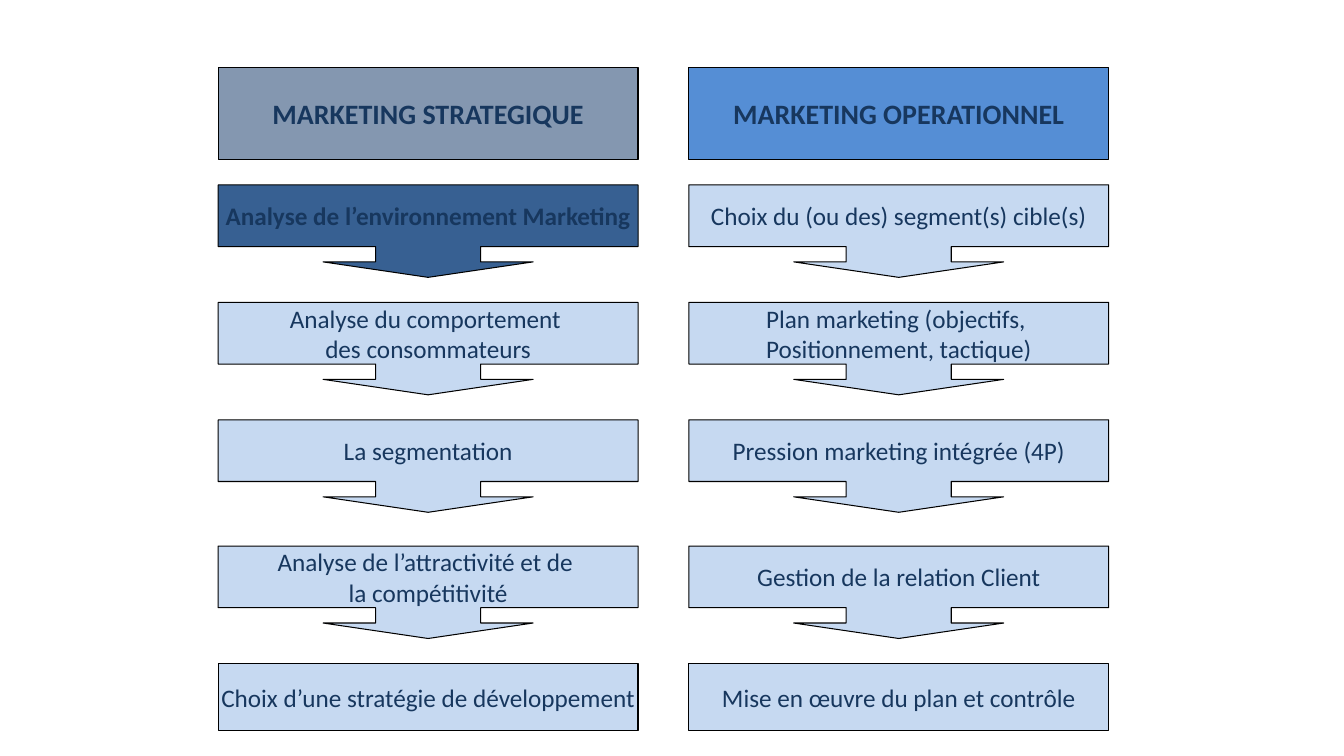
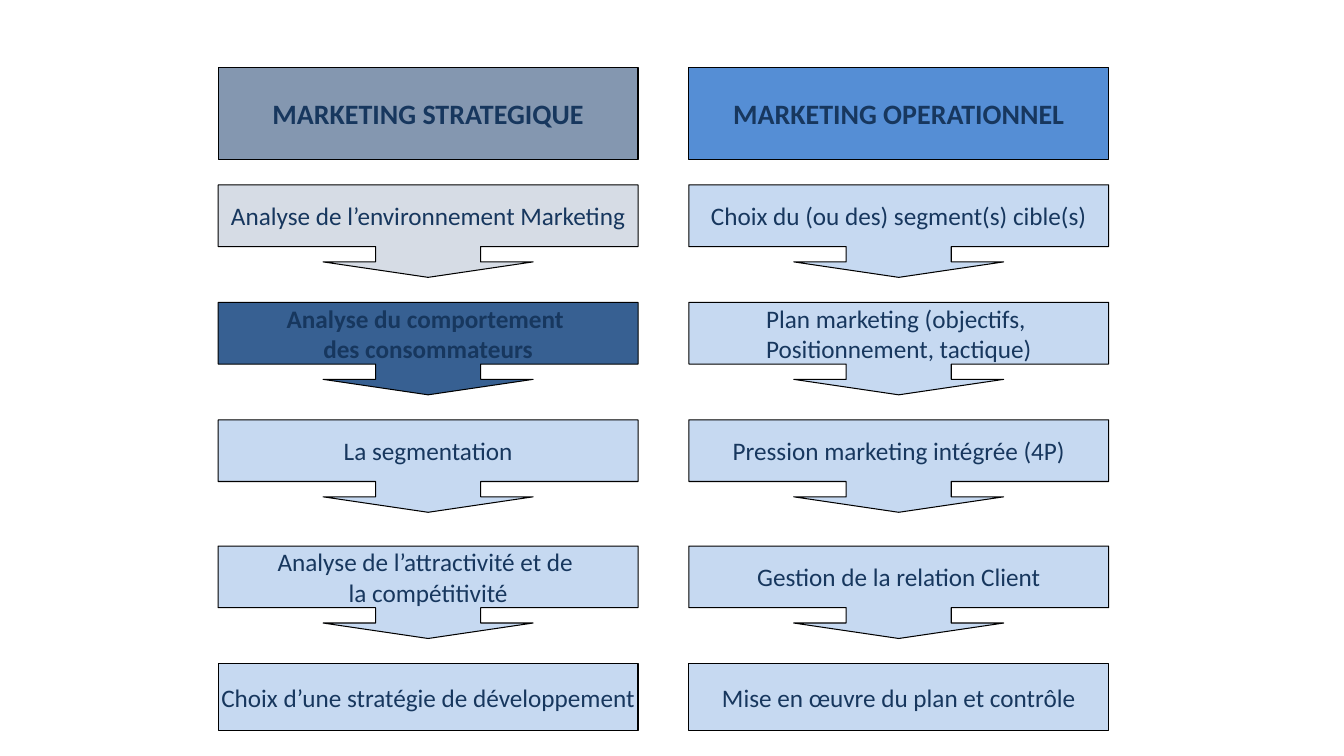
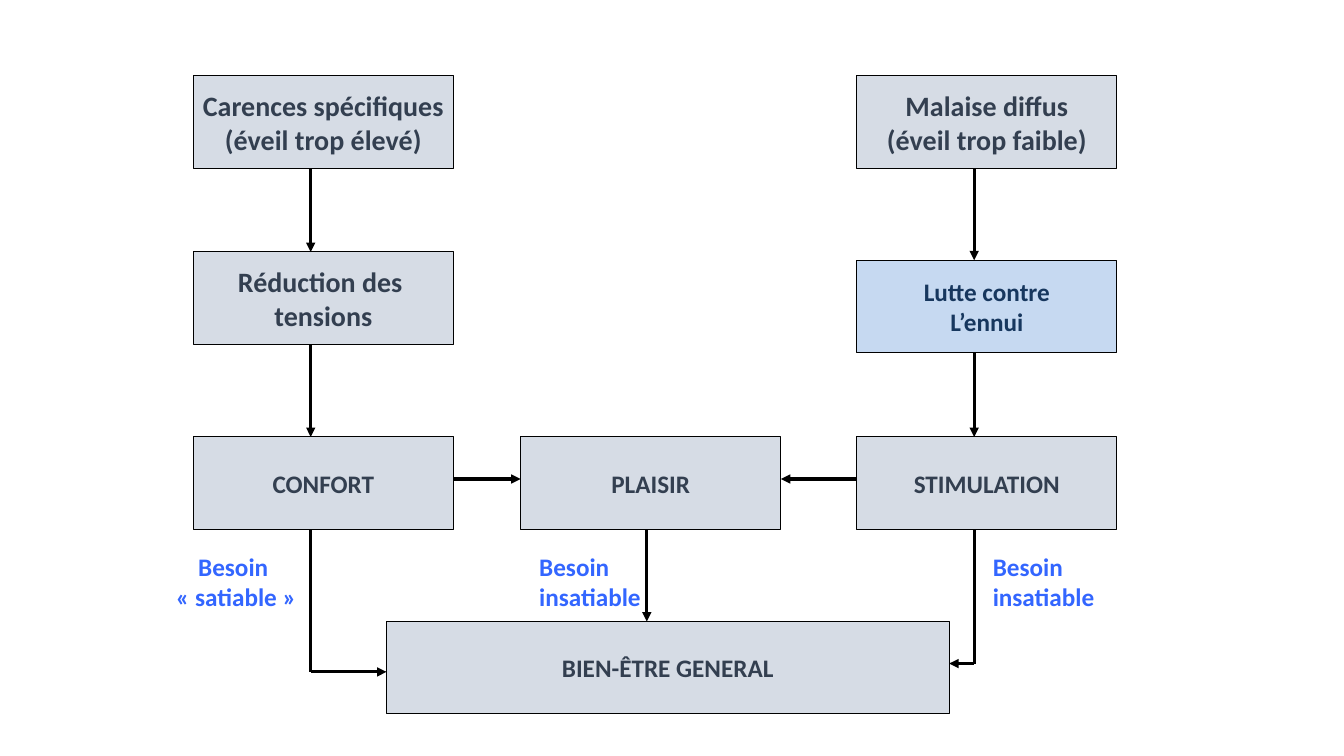
from dataclasses import dataclass

from lxml import etree
from pptx import Presentation
from pptx.dml.color import RGBColor
from pptx.enum.shapes import MSO_CONNECTOR, MSO_SHAPE
from pptx.enum.text import MSO_ANCHOR, MSO_AUTO_SIZE, PP_ALIGN
from pptx.oxml.ns import qn
from pptx.slide import Slide
from pptx.text.text import TextFrame
from pptx.util import Cm, Pt

RECTANGLE = MSO_SHAPE.RECTANGLE
CALLOUT = MSO_SHAPE.DOWN_ARROW_CALLOUT
STRAIGHT = MSO_CONNECTOR.STRAIGHT
MIDDLE = MSO_ANCHOR.MIDDLE
GROW = MSO_AUTO_SIZE.SHAPE_TO_FIT_TEXT
LEFT = PP_ALIGN.LEFT
CENTER = PP_ALIGN.CENTER

BLACK = RGBColor(0x00, 0x00, 0x00)
NAVY = RGBColor(0x17, 0x37, 0x5E)
SLATE = RGBColor(0x33, 0x3F, 0x50)
STEEL = RGBColor(0x84, 0x97, 0xB0)
BLUE = RGBColor(0x55, 0x8E, 0xD5)
DARK_BLUE = RGBColor(0x37, 0x60, 0x92)
PALE_BLUE = RGBColor(0xC6, 0xD9, 0xF1)
PALE_GREY = RGBColor(0xD6, 0xDC, 0xE5)
LABEL_BLUE = RGBColor(0x33, 0x66, 0xFF)

FONT = "Calibri"
BOX_HEIGHT = 2.33
CALLOUT_ADJUSTMENTS = (1.136, 1.136, 0.167, 0.667)

COLUMN_WIDTH = 10.58
HEADER_TOP = 1.69
STEP_TOPS = (4.66, 7.62, 10.58, 13.76, 16.72)
LAST_STEP_HEIGHT = 1.69

NEED_WIDTH = 6.56
NEED_LEFTS = (4.87, 13.12, 21.59)
NEED_TOP = 1.91
STATE_TOP = 11.01
LABEL_TOP = 13.76
LABEL_HEIGHT = 1.78


@dataclass(frozen=True)
class TextStyle:
    size: int
    color: RGBColor
    bold: bool = True


HEADER_TEXT = TextStyle(20, NAVY)
STEP_TEXT = TextStyle(18, NAVY, False)
ACTIVE_TEXT = TextStyle(18, NAVY)
CAUSE_TEXT = TextStyle(20, SLATE)
STATE_TEXT = TextStyle(18, SLATE)
LABEL_TEXT = TextStyle(18, LABEL_BLUE)


@dataclass(frozen=True)
class Box:
    text: str
    left: float
    top: float
    width: float
    style: TextStyle
    fill: RGBColor = PALE_GREY
    height: float = BOX_HEIGHT
    kind: MSO_SHAPE = RECTANGLE

    @property
    def right(self) -> float:
        return self.left + self.width

    @property
    def bottom(self) -> float:
        return self.top + self.height


@dataclass(frozen=True)
class Label:
    text: str
    left: float
    width: float
    align: PP_ALIGN = LEFT


@dataclass(frozen=True)
class Link:
    start: tuple[float, float]
    end: tuple[float, float]
    arrow: bool = True


@dataclass(frozen=True)
class Column:
    left: float
    title: str
    fill: RGBColor
    steps: tuple[str, ...]


COLUMNS = (
    Column(5.5, "MARKETING STRATEGIQUE", STEEL, (
        "Analyse de l’environnement Marketing",
        "Analyse du comportement \ndes consommateurs",
        "La segmentation",
        "Analyse de l’attractivité et de \nla compétitivité",
        "Choix d’une stratégie de développement",
    )),
    Column(17.36, "MARKETING OPERATIONNEL", BLUE, (
        "Choix du (ou des) segment(s) cible(s)",
        "Plan marketing (objectifs, \nPositionnement, tactique)",
        "Pression marketing intégrée (4P)",
        "Gestion de la relation Client",
        "Mise en œuvre du plan et contrôle",
    )),
)


def write_text(frame: TextFrame, text: str, style: TextStyle, align: PP_ALIGN) -> None:
    frame.word_wrap = False
    for index, line in enumerate(text.split("\n")):
        para = frame.add_paragraph() if index else frame.paragraphs[0]
        para.text = line
        para.alignment = align
        font = para.font
        font.name = FONT
        font.size = Pt(style.size)
        font.bold = style.bold
        font.color.rgb = style.color


def draw_box(page: Slide, box: Box) -> None:
    shape = page.shapes.add_shape(
        box.kind, Cm(box.left), Cm(box.top), Cm(box.width), Cm(box.height))
    if box.kind == CALLOUT:
        for index, value in enumerate(CALLOUT_ADJUSTMENTS):
            shape.adjustments[index] = value
    shape.shadow.inherit = False
    shape.fill.solid()
    shape.fill.fore_color.rgb = box.fill
    shape.line.color.rgb = BLACK
    shape.line.width = Pt(0.75)
    shape.text_frame.vertical_anchor = MIDDLE
    write_text(shape.text_frame, box.text, box.style, CENTER)


def draw_label(page: Slide, label: Label) -> None:
    shape = page.shapes.add_textbox(
        Cm(label.left), Cm(LABEL_TOP), Cm(label.width), Cm(LABEL_HEIGHT))
    write_text(shape.text_frame, label.text, LABEL_TEXT, label.align)
    shape.text_frame.auto_size = GROW


def draw_link(page: Slide, link: Link) -> None:
    ends = (Cm(value) for value in link.start + link.end)
    connector = page.shapes.add_connector(STRAIGHT, *ends)
    connector.line.color.rgb = BLACK
    connector.line.width = Pt(2.25)
    if link.arrow:
        etree.SubElement(connector.line._get_or_add_ln(), qn("a:tailEnd"), type="triangle")
    etree.SubElement(connector._element.spPr, qn("a:effectLst"))


def draw_process(page: Slide, active: int) -> None:
    for column in COLUMNS:
        draw_box(page, Box(column.title, column.left, HEADER_TOP, COLUMN_WIDTH,
                           HEADER_TEXT, column.fill))
        last = len(column.steps) - 1
        for index, (text, top) in enumerate(zip(column.steps, STEP_TOPS)):
            fill, style = PALE_BLUE, STEP_TEXT
            if column is COLUMNS[0] and index == active:
                fill, style = DARK_BLUE, ACTIVE_TEXT
            elif column is COLUMNS[0] and index < active:
                fill = PALE_GREY
            height, kind = (LAST_STEP_HEIGHT, RECTANGLE) if index == last else (BOX_HEIGHT, CALLOUT)
            draw_box(page, Box(text, column.left, top, COLUMN_WIDTH, style, fill, height, kind))


def draw_needs(page: Slide) -> None:
    left, middle, right = NEED_LEFTS
    lack = Box("Carences spécifiques\n(éveil trop élevé)", left, NEED_TOP, NEED_WIDTH, CAUSE_TEXT)
    unease = Box("Malaise diffus\n(éveil trop faible)", right, NEED_TOP, NEED_WIDTH, CAUSE_TEXT)
    relief = Box("Réduction des \ntensions", left, 6.35, NEED_WIDTH, CAUSE_TEXT)
    boredom = Box("Lutte contre\nL’ennui", right, 6.56, NEED_WIDTH, ACTIVE_TEXT, PALE_BLUE)
    comfort, pleasure, stimulation = (
        Box(text, x, STATE_TOP, NEED_WIDTH, STATE_TEXT)
        for text, x in zip(("CONFORT", "PLAISIR", "STIMULATION"), NEED_LEFTS))
    wellbeing = Box("BIEN-ÊTRE GENERAL", 9.74, 15.66, 14.18, STATE_TEXT)
    for box in (lack, unease, relief, boredom, comfort, pleasure, stimulation, wellbeing):
        draw_box(page, box)

    left_axis, middle_axis, right_axis = 7.83, 16.3, 24.55
    state_axis = 12.07
    left_corner, right_corner = (left_axis, 16.93), (right_axis, 16.72)
    descents = (
        (left_axis, lack, relief), (left_axis, relief, comfort),
        (right_axis, unease, boredom), (right_axis, boredom, stimulation),
        (middle_axis, pleasure, wellbeing),
    )
    links = [Link((x, upper.bottom), (x, lower.top)) for x, upper, lower in descents]
    links += [
        Link((stimulation.left, state_axis), (pleasure.right, state_axis)),
        Link((comfort.right, state_axis), (pleasure.left, state_axis)),
        Link((left_axis, comfort.bottom), left_corner, False),
        Link((right_axis, stimulation.bottom), right_corner, False),
        Link(left_corner, (wellbeing.left, left_corner[1])),
        Link(right_corner, (wellbeing.right, right_corner[1])),
    ]
    for link in links:
        draw_link(page, link)

    for label in (
        Label("Besoin\ninsatiable", 13.34, 3.12),
        Label("Besoin\ninsatiable", 24.77, 3.12),
        Label("Besoin \n« satiable »", 4.17, 3.56, CENTER),
    ):
        draw_label(page, label)


def main() -> None:
    deck = Presentation()
    deck.slide_width, deck.slide_height = Cm(33.87), Cm(19.05)
    blank = deck.slide_layouts[6]
    for active in range(2):
        draw_process(deck.slides.add_slide(blank), active)
    draw_needs(deck.slides.add_slide(blank))
    deck.save("out.pptx")


if __name__ == "__main__":
    main()
